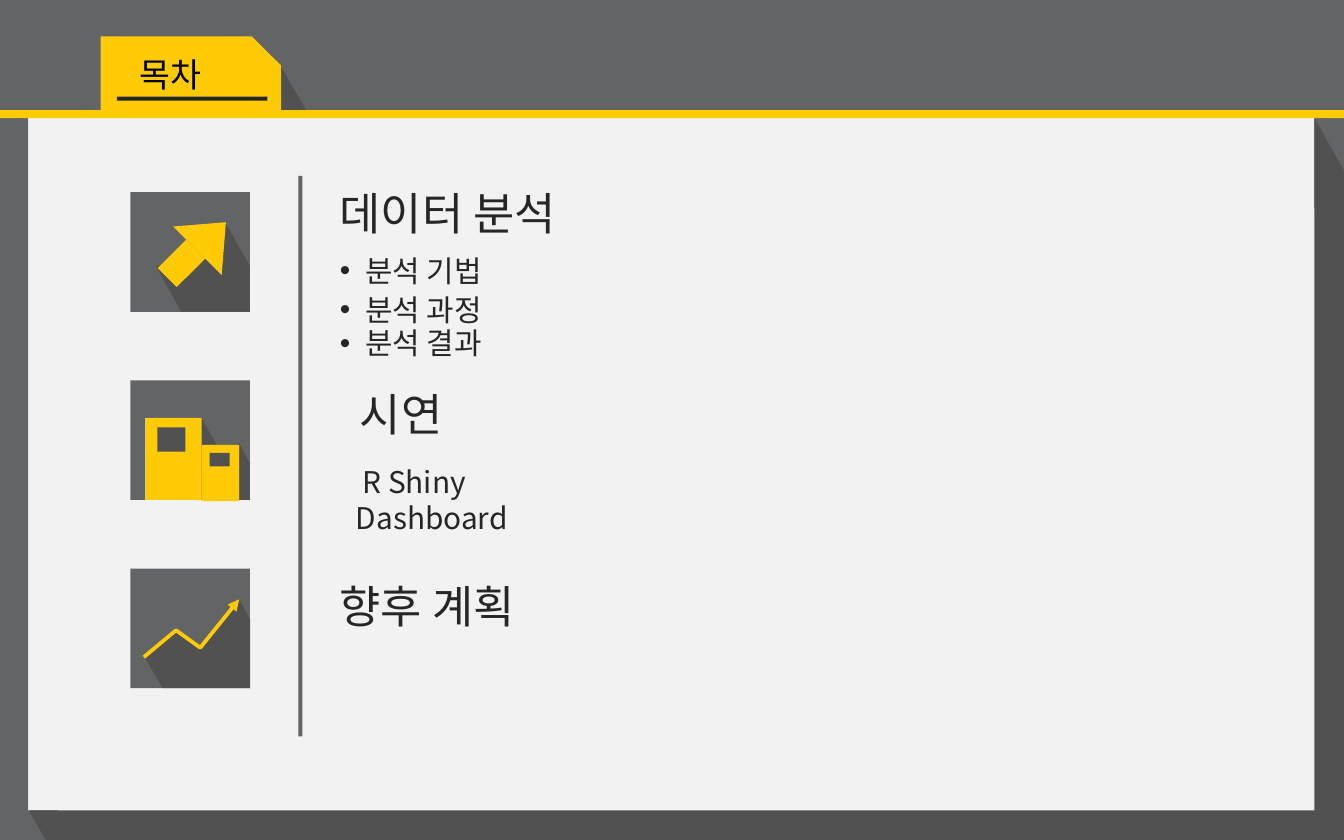
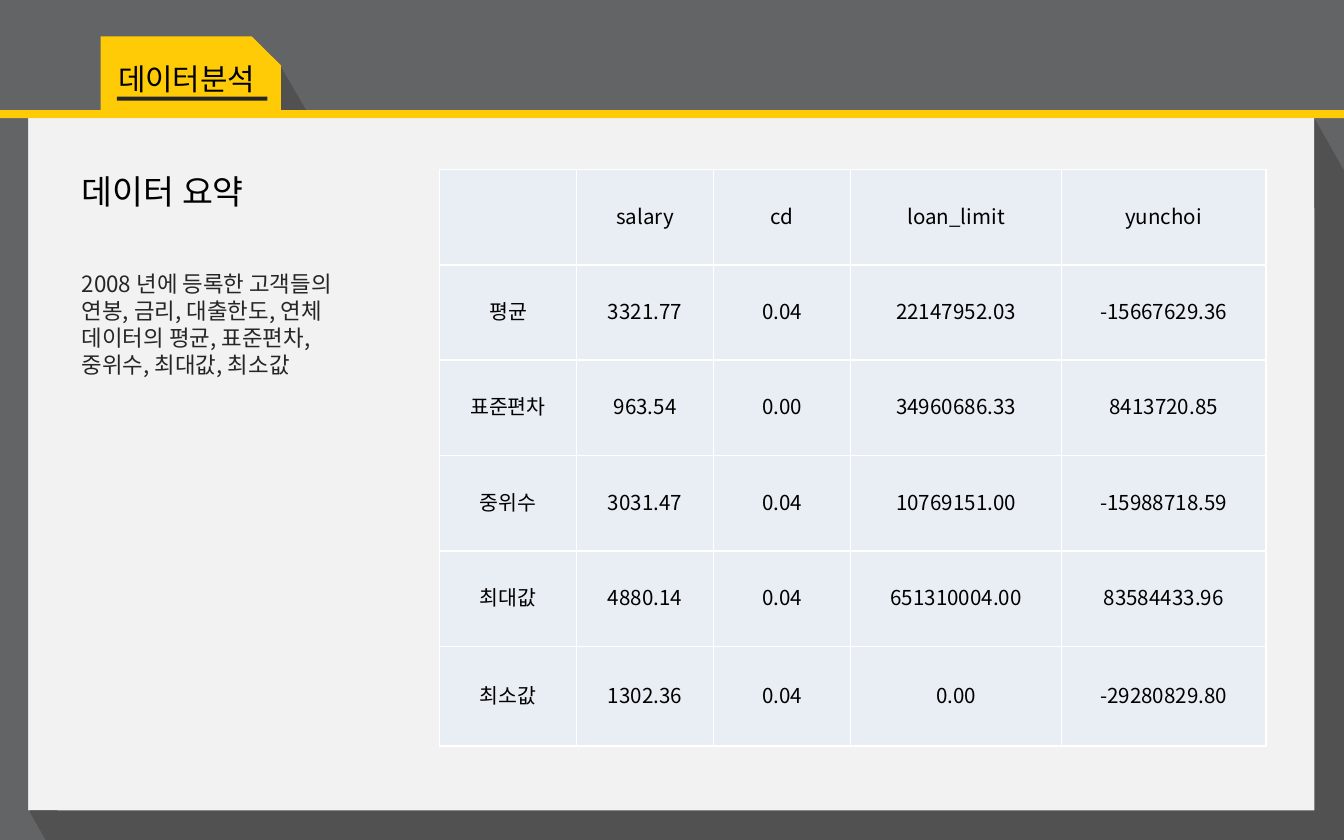
from lxml.etree import SubElement
from pptx import Presentation
from pptx.dml.color import RGBColor
from pptx.enum.shapes import MSO_SHAPE
from pptx.enum.text import MSO_ANCHOR, MSO_AUTO_SIZE, PP_ALIGN
from pptx.oxml.ns import qn
from pptx.util import Inches, Pt

FONT = "Noto Sans CJK KR"
GREY, SHADE, YELLOW = "636466", "515151", "FFCB06"
INK, BLACK, WHITE = "262626", "000000", "FFFFFF"
PAPER, CELL = "F2F2F2", "E9EDF4"


def paint(target, color):
    """Give a fill or line format a solid colour."""
    target.solid()
    target.fore_color.rgb = RGBColor.from_string(color)


def write(frame, text, size=16, color=INK, align=PP_ALIGN.LEFT, bullet=False, indent=0):
    """Put one formatted paragraph into a text frame."""
    paragraph = frame.paragraphs[0]
    paragraph.alignment = align
    paragraph.line_spacing = Pt(size * 1.2)
    properties = paragraph._p.get_or_add_pPr()
    if bullet:
        properties.set("marL", str(Inches(0.19)))
        properties.set("indent", str(-Inches(0.19)))
        SubElement(properties, qn("a:buFont"), typeface="Arial")
        SubElement(properties, qn("a:buChar"), char="•")
    elif indent:
        properties.set("indent", str(Inches(indent)))
    run = paragraph.add_run()
    run.text = text
    run.font.size = Pt(size)
    run.font.name = FONT
    paint(run.font.fill, color)
    SubElement(run._r.get_or_add_rPr(), qn("a:ea"), typeface=FONT)


class Deck:
    """Hold the presentation style and the slide being built."""

    def __init__(self):
        """Start an empty deck of the right size."""
        self.file = Presentation()
        self.file.slide_width, self.file.slide_height = Inches(10), Inches(6.25)

    def start(self, title, left, top, width, height, size):
        """Add a slide with the folder frame and its tab title."""
        self.slide = self.file.slides.add_slide(self.file.slide_layouts[5])
        self.shapes = self.slide.shapes
        paint(self.slide.background.fill, PAPER)
        self.box(9.78, 0.73, 0.22, 0.82, GREY)
        self.outline([(0, 0.88), (0.21, 0.88), (0.21, 6.03), (0.43, 6.03),
                      (0.43, 6.25), (0, 6.25)], GREY)
        self.box(0, 0, 10, 0.82, GREY)
        self.outline([(1.82, 0.48), (2.08, 0.48), (2.29, 0.84), (1.82, 0.84)], SHADE)
        tab = self.box(0.75, 0.27, 1.34, 0.55, YELLOW, MSO_SHAPE.SNIP_1_RECTANGLE)
        tab.adjustments[0] = 0.393
        self.box(0.87, 0.72, 1.12, 0.03, INK)
        self.outline([(9.78, 0.88), (10, 1.27), (10, 6.25), (0.34, 6.25),
                      (0.22, 6.04), (0.22, 6.03), (9.78, 6.03)], SHADE)
        self.box(0, 0.82, 10, 0.06, YELLOW)
        heading = self.shapes.title
        heading.left, heading.top = Inches(left), Inches(top)
        heading.width, heading.height = Inches(width), Inches(height)
        self.shapes._spTree.append(heading._element)
        self.fit(heading.text_frame)
        write(heading.text_frame, title, size=size, color=BLACK)

    def fit(self, frame):
        """Wrap a text frame and anchor it at the top."""
        frame.word_wrap = True
        frame.auto_size = MSO_AUTO_SIZE.NONE
        frame.vertical_anchor = MSO_ANCHOR.TOP

    def box(self, left, top, width, height, color, kind=MSO_SHAPE.RECTANGLE, turn=0):
        """Add a flat preset shape."""
        shape = self.shapes.add_shape(kind, Inches(left), Inches(top),
                                      Inches(width), Inches(height))
        shape.shadow.inherit = False
        shape.rotation = turn
        paint(shape.fill, color)
        shape.line.fill.background()
        return shape

    def outline(self, points, color, closed=True):
        """Add a filled polygon, or an open line ending in an arrowhead."""
        corners = [(Inches(x), Inches(y)) for x, y in points]
        builder = self.shapes.build_freeform(*corners[0])
        builder.add_line_segments(corners[1:], close=closed)
        shape = builder.convert_to_shape()
        shape.shadow.inherit = False
        if closed:
            paint(shape.fill, color)
            shape.line.fill.background()
        else:
            shape.fill.background()
            paint(shape.line.fill, color)
            shape.line.width = Pt(2)
            SubElement(shape.line._get_or_add_ln(), qn("a:tailEnd"), type="triangle")

    def text(self, text, left, top, width, height, **style):
        """Add a text box."""
        frame = self.shapes.add_textbox(Inches(left), Inches(top), Inches(width),
                                        Inches(height)).text_frame
        self.fit(frame)
        write(frame, text, **style)

    def table(self, rows, left, top, widths, heights):
        """Add a centred table with white rules."""
        grid = self.shapes.add_table(len(rows), len(widths), Inches(left), Inches(top),
                                     Inches(sum(widths)), Inches(sum(heights))).table
        grid.first_row = grid.horz_banding = False
        for column, width in zip(grid.columns, widths):
            column.width = Inches(width)
        for row, height, values in zip(grid.rows, heights, rows):
            row.height = Inches(height)
            for cell, value in zip(row.cells, values):
                self.cell(cell, value)

    def cell(self, cell, value):
        """Format one table cell and fill in its value."""
        properties = cell._tc.get_or_add_tcPr()
        for side in ("lnL", "lnR", "lnT", "lnB"):
            rule = SubElement(properties, qn(f"a:{side}"), w=str(Pt(1)))
            SubElement(SubElement(rule, qn("a:solidFill")), qn("a:srgbClr"), val=WHITE)
        paint(cell.fill, CELL)
        cell.vertical_anchor = MSO_ANCHOR.MIDDLE
        cell.margin_left = cell.margin_right = cell.margin_top = Inches(0.01)
        cell.margin_bottom = 0
        if value:
            write(cell.text_frame, value, size=11, color=BLACK, align=PP_ALIGN.CENTER)


def build_contents(deck):
    """Build the table of contents with its three icons."""
    deck.start("목차", 0.94, 0.35, 0.71, 0.4, size=18)
    for index in range(3):
        deck.box(0.97, 1.43 + 1.4 * index, 0.89, 0.89, GREY)
    deck.box(2.22, 1.31, 0.03, 4.17, GREY)

    deck.outline([(1.68, 1.66), (1.86, 1.98), (1.86, 2.32), (1.35, 2.32),
                  (1.16, 1.98), (1.41, 1.98), (1.33, 1.85)], SHADE)
    deck.box(1.25, 1.81, 0.2, 0.3, YELLOW, turn=45)
    deck.box(1.32, 1.61, 0.51, 0.3, YELLOW, MSO_SHAPE.ISOSCELES_TRIANGLE, turn=45)

    deck.outline([(1.49, 3.11), (1.5, 3.11), (1.65, 3.38), (1.78, 3.3),
                  (1.86, 3.45), (1.86, 3.72), (1.49, 3.72)], SHADE)
    deck.box(1.08, 3.11, 0.42, 0.61, YELLOW)
    deck.box(1.5, 3.31, 0.28, 0.42, YELLOW)
    deck.box(1.17, 3.18, 0.21, 0.18, SHADE)
    deck.box(1.56, 3.37, 0.15, 0.1, SHADE)

    deck.outline([(1.78, 4.46), (1.86, 4.61), (1.86, 5.12), (1.21, 5.12), (1.07, 4.88),
                  (1.17, 4.82), (1.31, 4.69), (1.35, 4.72), (1.51, 4.82), (1.73, 4.54),
                  (1.71, 4.51)], SHADE)
    deck.outline([(1.07, 4.89), (1.31, 4.69), (1.49, 4.82), (1.78, 4.46)],
                 YELLOW, closed=False)

    deck.text("데이터 분석", 2.43, 1.33, 2, 0.5, size=24)
    for topic, top in (("분석 기법", 1.83), ("분석 과정", 2.12), ("분석 결과", 2.37)):
        deck.text(topic, 2.43, top, 1.34, 0.37, bullet=True)
    deck.text("시연", 2.58, 2.83, 4, 0.5, size=24)
    deck.text("R Shiny Dashboard", 2.55, 3.4, 1.95, 0.37, indent=0.05)
    deck.text("향후 계획", 2.43, 4.26, 1.62, 0.5, size=24)


def build_summary(deck):
    """Build the data summary with its statistics table."""
    deck.start("데이터분석", 0.78, 0.4, 1.32, 0.37, size=16)
    deck.text("데이터 요약", 0.51, 1.22, 1.55, 0.4, size=18, color=BLACK)
    deck.text("2008 년에 등록한 고객들의 연봉, 금리, 대출한도, 연체 데이터의 평균, "
              "표준편차, 중위수, 최대값, 최소값", 0.51, 1.96, 2.28, 0.91, size=12)
    statistics = [
        ("", "salary", "cd", "loan_limit", "yunchoi"),
        ("평균", "3321.77", "0.04", "22147952.03", "-15667629.36"),
        ("표준편차", "963.54", "0.00", "34960686.33", "8413720.85"),
        ("중위수", "3031.47", "0.04", "10769151.00", "-15988718.59"),
        ("최대값", "4880.14", "0.04", "651310004.00", "83584433.96"),
        ("최소값", "1302.36", "0.04", "0.00", "-29280829.80"),
    ]
    deck.table(statistics, 3.27, 1.26, [1.02] * 3 + [1.57, 1.52], [0.71] * 5 + [0.74])


def main():
    """Build both slides and save them."""
    deck = Deck()
    build_contents(deck)
    build_summary(deck)
    deck.file.save("out.pptx")


if __name__ == "__main__":
    main()
